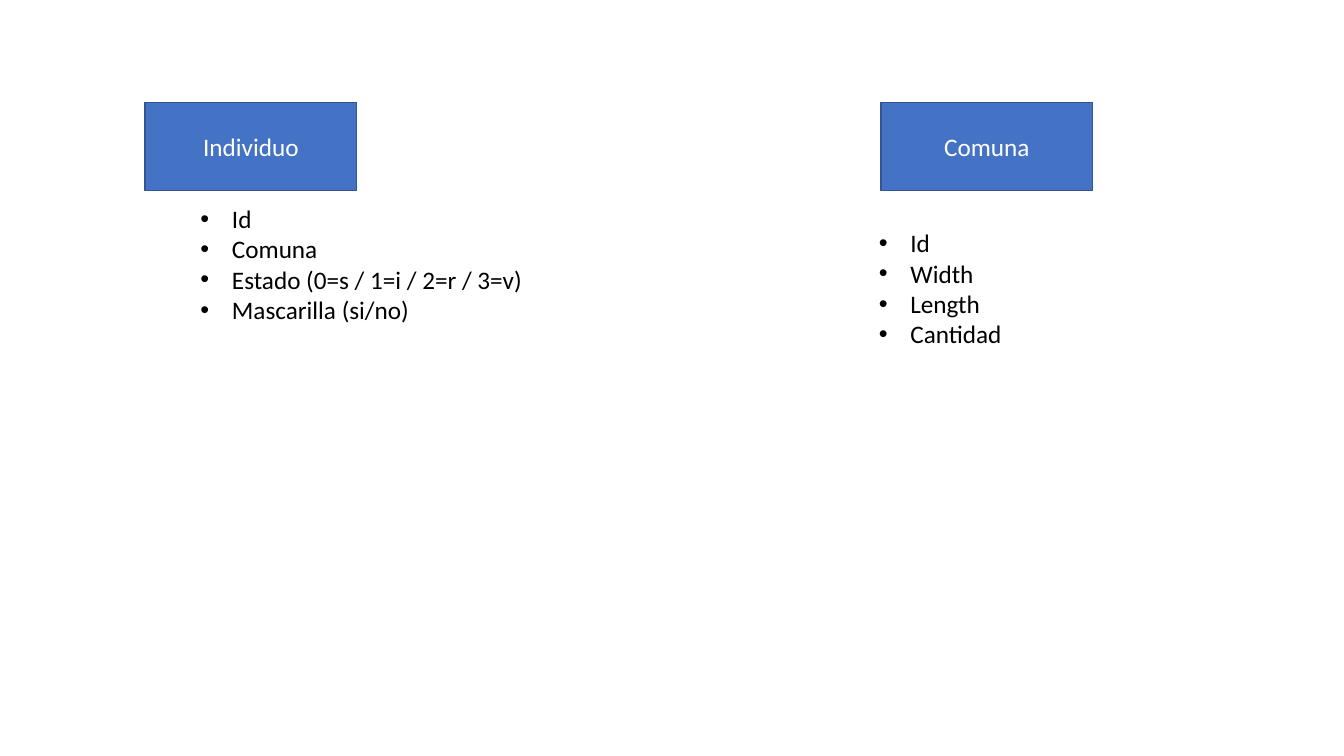
from pptx import Presentation
from pptx.dml.color import RGBColor
from pptx.enum.shapes import MSO_SHAPE
from pptx.enum.text import MSO_ANCHOR, MSO_AUTO_SIZE, PP_ALIGN
from pptx.oxml.ns import qn
from pptx.util import Pt
from lxml import etree

RECTANGLE = MSO_SHAPE.RECTANGLE
MIDDLE = MSO_ANCHOR.MIDDLE
CENTER = PP_ALIGN.CENTER
GROW = MSO_AUTO_SIZE.SHAPE_TO_FIT_TEXT

COLORS = {"header": "4472C4", "border": "325491", "label": "FFFFFF", "attribute": "000000"}
FONT = "Calibri"
INDENT = 22.5


def color(name):
    return RGBColor.from_string(COLORS[name])


def add_run(paragraph, text, color_name):
    run = paragraph.add_run()
    run.text = text
    run.font.name = FONT
    run.font.size = Pt(18)
    run.font.color.rgb = color(color_name)


def add_bullet(paragraph):
    properties = paragraph._p.get_or_add_pPr()
    properties.set("marL", str(Pt(INDENT)))
    properties.set("indent", str(Pt(-INDENT)))
    etree.SubElement(properties, qn("a:buFont")).set("typeface", "Arial")
    etree.SubElement(properties, qn("a:buChar")).set("char", "•")


def add_header(slide, box, name):
    header = slide.shapes.add_shape(RECTANGLE, *map(Pt, box))
    header.shadow.inherit = False
    header.fill.solid()
    header.fill.fore_color.rgb = color("header")
    header.line.color.rgb = color("border")
    header.line.width = Pt(1)
    header.text_frame.vertical_anchor = MIDDLE
    label = header.text_frame.paragraphs[0]
    label.alignment = CENTER
    add_run(label, name, "label")


def add_attributes(slide, box, attributes):
    frame = slide.shapes.add_textbox(*map(Pt, box)).text_frame
    frame.word_wrap = True
    frame.auto_size = GROW
    for index, attribute in enumerate(attributes):
        paragraph = frame.add_paragraph() if index else frame.paragraphs[0]
        add_bullet(paragraph)
        add_run(paragraph, attribute, "attribute")


def add_entity(slide, box, name, attributes, list_offset):
    """Place a header at box, with its list shifted from the header's lower left."""
    left, top, width, height = box
    shift_x, shift_y = list_offset
    add_header(slide, box, name)
    add_attributes(slide, (left + shift_x, top + height + shift_y, 267.8, 94.3), attributes)


presentation = Presentation()
presentation.slide_width = Pt(960)
presentation.slide_height = Pt(540)
entity_slide = presentation.slides.add_slide(presentation.slide_layouts[6])

# Entities: header left, name, attributes, list offset
ENTITIES = [
    (103.7, "Individuo",
     ["Id", "Comuna", "Estado (0=s / 1=i / 2=r / 3=v)", "Mascarilla (si/no)"], (32.4, 5.8)),
    (629.3, "Comuna", ["Id", "Width", "Length", "Cantidad"], (-8.6, 23.1)),
]
for left, name, attributes, list_offset in ENTITIES:
    add_entity(entity_slide, (left, 73.4, 151.2, 62.6), name, attributes, list_offset)

presentation.save("out.pptx")
